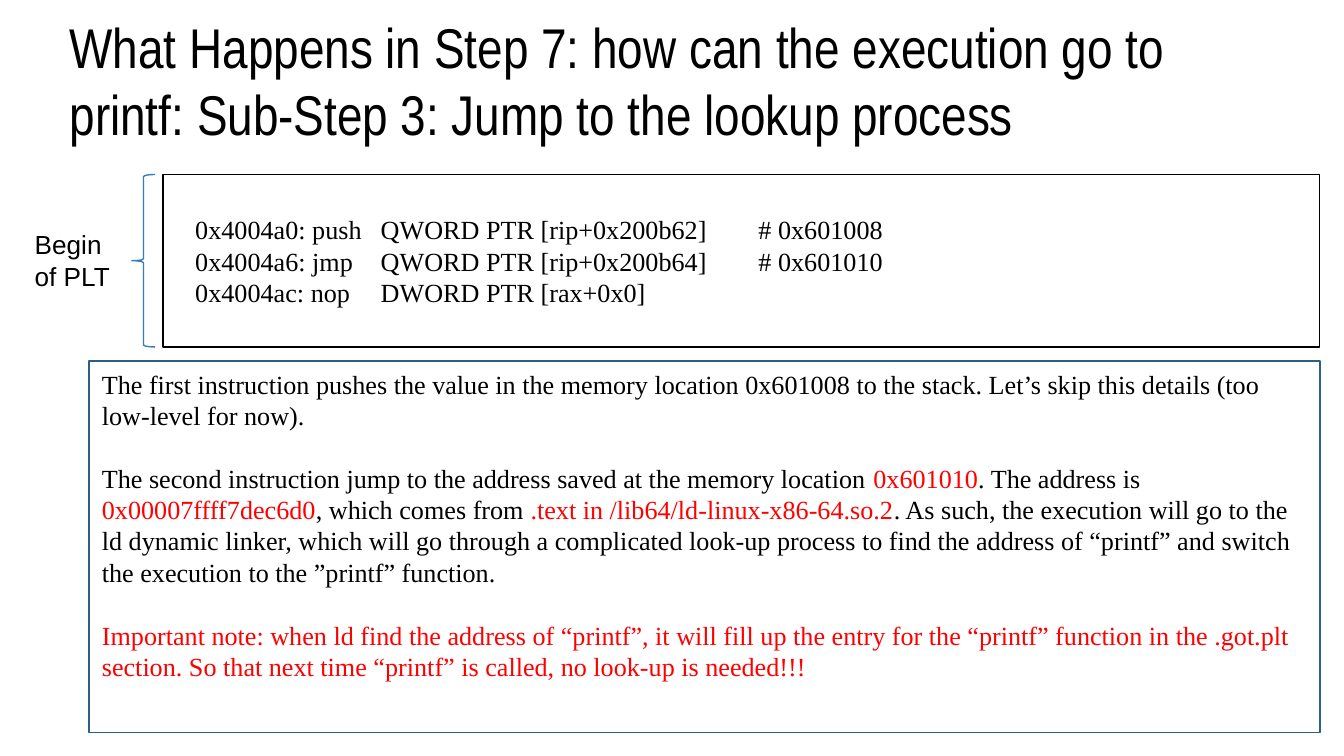
from collections import namedtuple

from lxml.etree import SubElement
from pptx import Presentation
from pptx.dml.color import RGBColor
from pptx.enum.shapes import MSO_SHAPE as Form
from pptx.enum.text import MSO_ANCHOR as Anchor, PP_ALIGN as Align
from pptx.oxml.ns import qn
from pptx.util import Inches, Pt

BLACK = RGBColor(0x00, 0x00, 0x00)
RED = RGBColor(0xFF, 0x00, 0x00)
BLUE = RGBColor(0x36, 0x7E, 0xB9)
NAVY = RGBColor(0x2B, 0x5F, 0x8A)
SANS, NARROW, SERIF = "Arial", "Arial Narrow", "Times New Roman"
WIDE = Inches(10)
HIGH = WIDE * 9 // 16
LEAD = Pt(16.8)
STOPS = (1.38, 4.19)

TITLE = ("What Happens in Step 7: how can the execution go to printf: "
         "Sub-Step 3: Jump to the lookup process")
CODE = [
    "0x4004a0: push\tQWORD PTR [rip+0x200b62]\t# 0x601008",
    "0x4004a6: jmp\tQWORD PTR [rip+0x200b64]\t# 0x601010",
    "0x4004ac: nop\tDWORD PTR [rax+0x0]",
]
# Each paragraph is a list of (text, colour) runs.
NOTES = [
    [("The first instruction pushes the value in the memory location 0x601008 "
      "to the stack. Let’s skip this details (too low-level for now).", BLACK)],
    [("The second instruction jump to the address saved at the memory location ",
      BLACK),
     ("0x601010", RED),
     (". The address is ", BLACK),
     ("0x00007ffff7dec6d0", RED),
     (", which comes from ", BLACK),
     (".text in /lib64/ld-linux-x86-64.so.2", RED),
     (". As such, the execution will go to the ld dynamic linker, which will go "
      "through a complicated look-up process to find the address of “printf” "
      "and switch the execution to the ”printf” function.", BLACK)],
    [("Important note: when ld find the address of “printf”, it will fill up the "
      "entry for the “printf” function in the .got.plt section. So that next "
      "time “printf” is called, no look-up is needed!!!", RED)],
]

Box = namedtuple("Box", "left top width height")
PAGE = Box(0, 0, WIDE, HIGH)


def part(box, x, y, w, h):
    """Return the part of a box that the given percentages describe."""
    return Box(round(box.left + x * box.width / 100),
               round(box.top + y * box.height / 100),
               round(w * box.width / 100), round(h * box.height / 100))


def outline(slide, form, box, color, width):
    shape = slide.shapes.add_shape(form, *box)
    shape.shadow.inherit = False
    shape.fill.background()
    shape.line.color.rgb = color
    shape.line.width = Pt(width)
    return shape


def write(shape, paras, font, size=14, lead=LEAD, gap=0, anchor=Anchor.TOP):
    """Fill a shape with paragraphs made of (text, colour) runs."""
    frame = shape.text_frame
    frame.word_wrap = True
    frame.vertical_anchor = anchor
    for i, runs in enumerate(paras):
        para = frame.paragraphs[0] if i == 0 else frame.add_paragraph()
        para.alignment = Align.LEFT
        para.line_spacing = lead
        para.space_before = gap if i else Pt(0)
        para.font.name, para.font.size = font, Pt(size)
        for text, color in runs:
            run = para.add_run()
            run.text = text
            run.font.color.rgb = color
    return frame


def set_tabs(para):
    tabs = SubElement(para._p.get_or_add_pPr(), qn("a:tabLst"))
    for stop in STOPS:
        SubElement(tabs, qn("a:tab"), pos=str(Inches(stop)), algn="l")
    # The schema wants the tab list ahead of the default run properties.
    props = tabs.getparent()
    props.insert(props.index(props.find(qn("a:defRPr"))), tabs)


def add_title(slide, box):
    frame = write(slide.shapes.add_textbox(*box), [[(TITLE, BLACK)]], NARROW,
                  size=30, lead=Pt(36), anchor=Anchor.BOTTOM)
    frame.margin_top = frame.margin_bottom = Inches(0.1)


def add_plt(slide, box):
    """Place the code listing with its brace and label."""
    rect = outline(slide, Form.RECTANGLE, part(box, 10.9, 0, 89.1, 100),
                   BLACK, 0.75)
    frame = write(rect, [[(line, BLACK)] for line in CODE], SERIF,
                  anchor=Anchor.MIDDLE)
    frame.margin_left = Inches(0.24)
    for para in frame.paragraphs:
        set_tabs(para)
    outline(slide, Form.LEFT_BRACE, part(box, 8.5, 0, 1.8, 100), BLUE, 0.75)
    label = slide.shapes.add_textbox(*part(box, 0, 27.5, 8.5, 44.5))
    write(label, [[("Begin of PLT", BLACK)]], SANS)


def add_notes(slide, box):
    rect = outline(slide, Form.RECTANGLE, box, NAVY, 1)
    write(rect, NOTES, SERIF, gap=LEAD)


def main():
    deck = Presentation()
    deck.slide_width, deck.slide_height = WIDE, HIGH
    slide = deck.slides.add_slide(deck.slide_layouts[6])
    add_title(slide, part(PAGE, 4.2, 4.4, 90, 16.8))
    add_plt(slide, part(PAGE, 1.6, 23.1, 96.6, 22.8))
    add_notes(slide, part(PAGE, 6.6, 47.8, 91.6, 49.1))
    deck.save("out.pptx")


if __name__ == "__main__":
    main()
